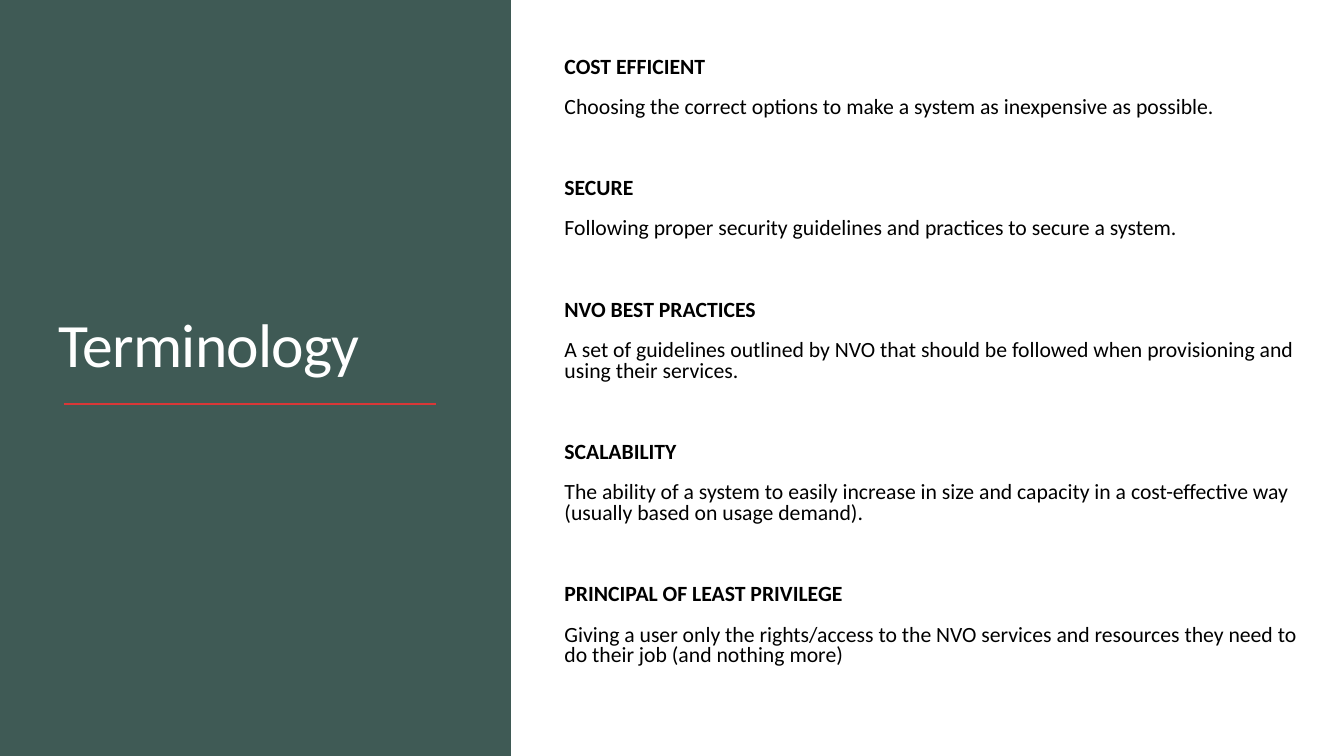
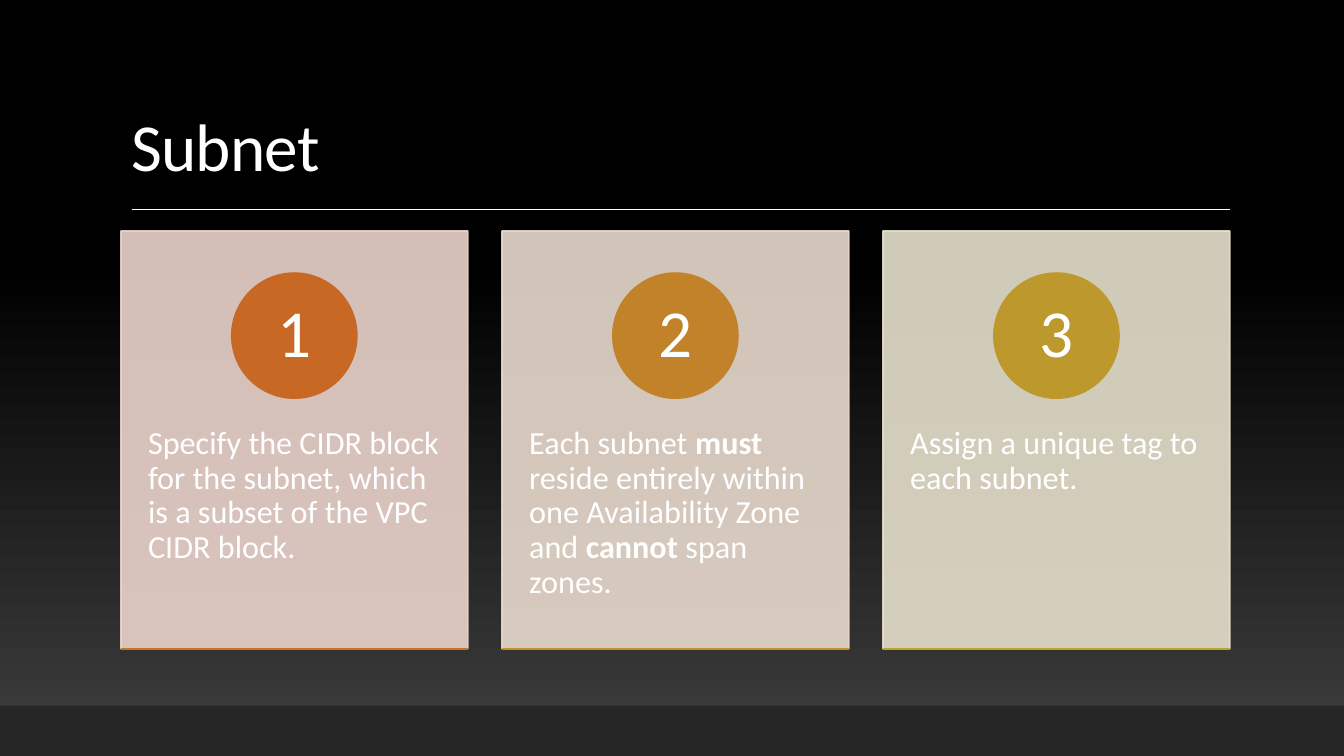
import lxml.etree
import pptx
import pptx.dml.color
import pptx.enum.shapes
import pptx.enum.text
import pptx.oxml.ns
import pptx.util

Pt = pptx.util.Pt
Anchor = pptx.enum.text.MSO_ANCHOR
Align = pptx.enum.text.PP_ALIGN
Shape = pptx.enum.shapes.MSO_SHAPE
qn = pptx.oxml.ns.qn

SLIDE_WIDTH, SLIDE_HEIGHT = 960, 540
TITLE_ONLY, TITLE_AND_CONTENT = 5, 1
FONT = "Calibri"
WHITE, BLACK = "FFFFFF", "000000"
PANEL_GREEN, RULE_RED = "3F5A55", "D93737"
FOOTER_GRAY, GLOW_GRAY = "262626", "3F3F3F"


def color(hex_string):
    return pptx.dml.color.RGBColor.from_string(hex_string)


class Deck:
    """Holds the style and the slide being built."""

    def __init__(self):
        self.presentation = pptx.Presentation()
        self.presentation.slide_width = Pt(SLIDE_WIDTH)
        self.presentation.slide_height = Pt(SLIDE_HEIGHT)
        self.slide = None

    def add_slide(self, layout_index):
        layout = self.presentation.slide_layouts[layout_index]
        self.slide = self.presentation.slides.add_slide(layout)

    def gradient_background(self, bottom, top, top_position):
        fill = self.slide.background.fill
        fill.gradient()
        fill.gradient_angle = 90
        for stop, (position, hex_string) in zip(
                fill.gradient_stops, [(0, bottom), (top_position, top)]):
            stop.position = position
            stop.color.rgb = color(hex_string)

    def place(self, shape, left, top, width, height):
        shape.left, shape.top = Pt(left), Pt(top)
        shape.width, shape.height = Pt(width), Pt(height)

    def frame(self, shape, anchor, margins):
        text_frame = shape.text_frame
        text_frame.word_wrap = True
        text_frame.auto_size = pptx.enum.text.MSO_AUTO_SIZE.NONE
        text_frame.vertical_anchor = anchor
        (text_frame.margin_left, text_frame.margin_top,
         text_frame.margin_right, text_frame.margin_bottom) = map(Pt, margins)
        return text_frame

    def fill_paragraph(self, paragraph, text, size, hex_string,
                       align=Align.LEFT, line_spacing=0.9, bold=None):
        """Parts of the text between double asterisks become bold."""
        paragraph.alignment = align
        paragraph.line_spacing = line_spacing
        font = paragraph.font
        font.name, font.size, font.bold = FONT, Pt(size), bold
        font.color.rgb = color(hex_string)
        for index, part in enumerate(text.split("**")):
            run = paragraph.add_run()
            run.text = part
            if index % 2:
                run.font.bold = True

    def title(self, text, size, left, top, width, height):
        shape = self.slide.shapes.title
        self.place(shape, left, top, width, height)
        text_frame = self.frame(shape, Anchor.BOTTOM, (7.2, 3.6, 7.2, 3.6))
        paragraph = text_frame.paragraphs[0]
        self.fill_paragraph(paragraph, text, size, WHITE)
        for run in paragraph.runs:
            run._r.get_or_add_rPr().set("spc", "-50")

    def definitions(self, entries, left, top, width, height):
        shape = self.slide.placeholders[1]
        self.place(shape, left, top, width, height)
        text_frame = self.frame(shape, Anchor.TOP, (7.2, 3.6, 0, 3.6))
        paragraph = None
        for term, meaning in entries:
            for text, bold, gap in [(term, True, 41), (meaning, False, 12)]:
                first = paragraph is None
                paragraph = (text_frame.paragraphs[0] if first
                             else text_frame.add_paragraph())
                properties = paragraph._p.get_or_add_pPr()
                properties.set("marL", "0")
                properties.set("indent", "0")
                lxml.etree.SubElement(properties, qn("a:buNone"))
                paragraph.space_before = Pt(0 if first else gap)
                paragraph.space_after = Pt(2)
                self.fill_paragraph(paragraph, text, 15.5, BLACK,
                                    line_spacing=0.8, bold=bold)

    def block(self, kind, hex_string, left, top, width, height,
              outline=None, opacity=100):
        shape = self.slide.shapes.add_shape(
            kind, Pt(left), Pt(top), Pt(width), Pt(height))
        shape.shadow.inherit = False
        shape.fill.solid()
        shape.fill.fore_color.rgb = color(hex_string)
        if outline:
            shape.line.color.rgb = color(hex_string)
            shape.line.width = Pt(outline)
        else:
            shape.line.fill.background()
        if opacity < 100:
            for node in list(shape._element.spPr.iter(qn("a:srgbClr"))):
                alpha = lxml.etree.SubElement(node, qn("a:alpha"))
                alpha.set("val", str(opacity * 1000))
        return shape

    def rule(self, hex_string, line_width, left, right, y):
        line = self.slide.shapes.add_connector(
            pptx.enum.shapes.MSO_CONNECTOR.STRAIGHT,
            Pt(left), Pt(y), Pt(right), Pt(y))
        line.line.color.rgb = color(hex_string)
        line.line.width = Pt(line_width)
        lxml.etree.SubElement(line._element.spPr, qn("a:effectLst"))

    def footer_band(self):
        self.block(Shape.RECTANGLE, FOOTER_GRAY, 0, 504, SLIDE_WIDTH, 36)

    def numbered_card(self, number, text, left, width, card_color,
                      badge_color, edge_color):
        top, height, badge_size = 165, 298.4, 89.3
        card = self.block(Shape.RECTANGLE, card_color, left, top, width,
                          height, outline=1.25, opacity=90)
        text_frame = self.frame(card, Anchor.TOP, (19.4, 139.7, 19.4, 26))
        self.fill_paragraph(text_frame.paragraphs[0], text, 23, WHITE)

        badge = self.block(Shape.OVAL, badge_color,
                           left + (width - badge_size) / 2, top + 30.1,
                           badge_size, badge_size, outline=1.25)
        text_frame = self.frame(badge, Anchor.MIDDLE, (0, 0, 0, 0))
        self.fill_paragraph(text_frame.paragraphs[0], str(number), 48, WHITE,
                            align=Align.CENTER)
        self.rule(edge_color, 1.25, left, left + width, top + height)


def build_terminology(deck):
    deck.add_slide(TITLE_AND_CONTENT)
    # Side panel with title
    panel = deck.block(Shape.RECTANGLE, PANEL_GREEN, 0, 0, 365, SLIDE_HEIGHT)
    # The panel goes behind the placeholders
    deck.slide.shapes._spTree.insert(2, panel._element)
    deck.title("Terminology", 44, 34.6, 50.4, 316, 225.4)
    deck.rule(RULE_RED, 1.5, 45.4, 311.8, 288.7)
    # Terms and their meanings
    deck.definitions([
        ("COST EFFICIENT",
         "Choosing the correct options to make a system as inexpensive as "
         "possible."),
        ("SECURE",
         "Following proper security guidelines and practices to secure a "
         "system."),
        ("NVO BEST PRACTICES",
         "A set of guidelines outlined by NVO that should be followed when "
         "provisioning and using their services."),
        ("SCALABILITY",
         "The ability of a system to easily increase in size and capacity in "
         "a cost-effective way (usually based on usage demand)."),
        ("PRINCIPAL OF LEAST PRIVILEGE",
         "Giving a user only the rights/access to the NVO services and "
         "resources they need to do their job (and nothing more)"),
    ], 396, 37.4, 530, 466.6)


def build_subnet(deck):
    deck.add_slide(TITLE_ONLY)
    # Backdrop and heading
    deck.gradient_background(GLOW_GRAY, BLACK, 0.65)
    deck.footer_band()
    deck.rule(WHITE, 1, 94.3, 878.4, 149.5)
    deck.title("Subnet", 48, 86.4, 22.3, 792, 114.5)
    # Three numbered cards
    cards = [
        ("Specify the CIDR block for the subnet, which is a subset of the "
         "VPC CIDR block.", "EBD4CD", "C76825", "C57527"),
        ("Each subnet **must** reside entirely within one Availability Zone "
         "and **cannot** span zones.", "E9DACD", "C28229", "C08E2B"),
        ("Assign a unique tag to each subnet.",
         "E7E0CD", "BD992D", "BBA32F"),
    ]
    left, width, gap = 86.4, 247.7, 24.5
    for index, (text, *colors) in enumerate(cards):
        deck.numbered_card(index + 1, text, left + index * (width + gap),
                           width, *colors)


def main():
    deck = Deck()
    build_terminology(deck)
    build_subnet(deck)
    deck.presentation.save("out.pptx")


if __name__ == "__main__":
    main()
